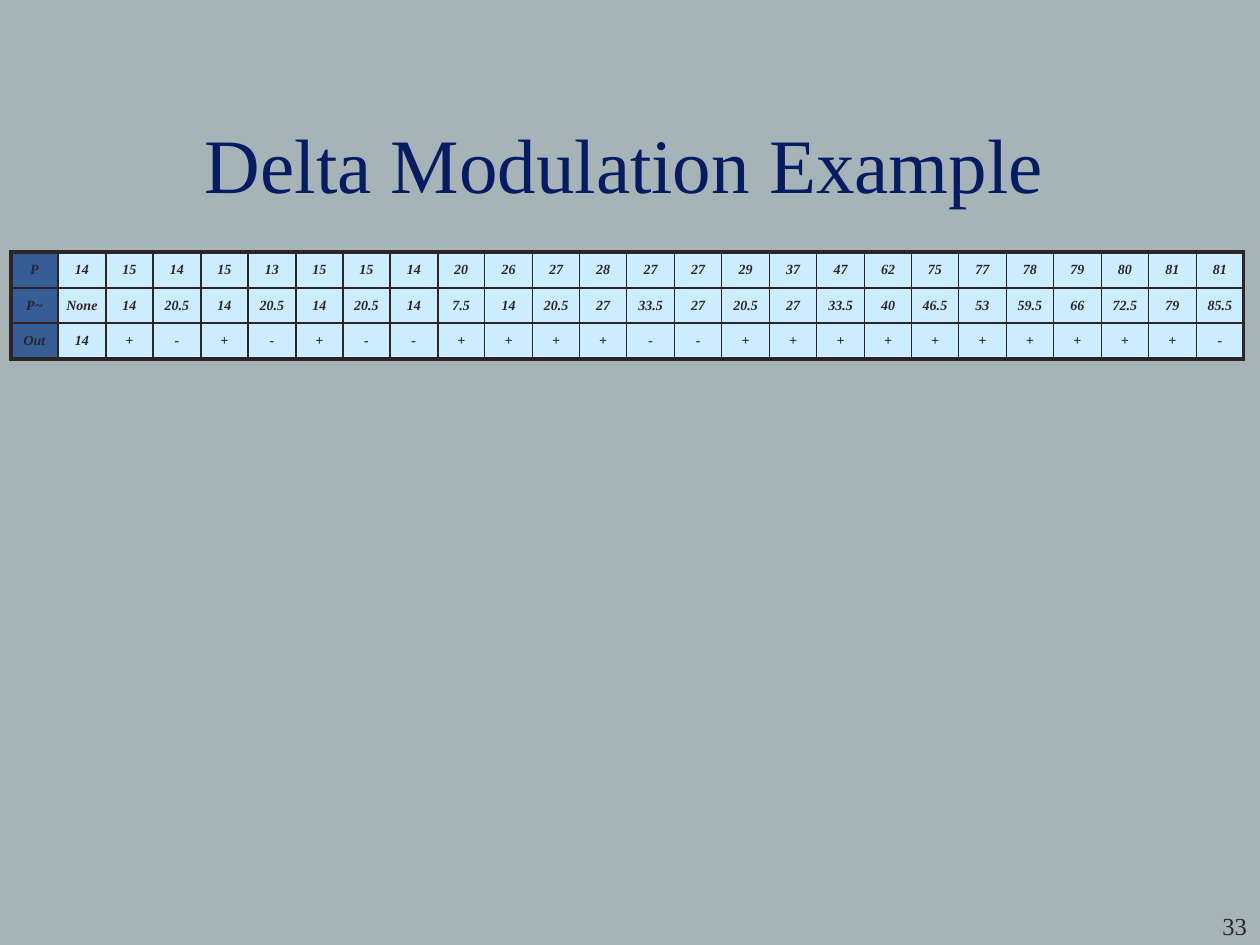
from dataclasses import dataclass

from lxml import etree
from pptx import Presentation
from pptx.dml.color import RGBColor
from pptx.enum.text import MSO_ANCHOR, PP_ALIGN
from pptx.oxml.ns import qn
from pptx.util import Emu, Pt

MID, TOP = MSO_ANCHOR.MIDDLE, MSO_ANCHOR.TOP
CENTER, RIGHT = PP_ALIGN.CENTER, PP_ALIGN.RIGHT
SCALE = 914400 // 126


@dataclass(frozen=True)
class Theme:
    font: str = "Times New Roman"
    back: str = "A7B4B7"
    ink: str = "2D2525"
    navy: str = "061C62"
    head: str = "365D96"
    pale: str = "CCECFF"
    title: int = 44
    page: int = 14
    cell: int = 8
    thin: float = 1
    thick: float = 2.25


@dataclass(frozen=True)
class Box:
    left: int
    top: int
    width: int
    height: int

    def emu(self) -> tuple:
        return px(self.left), px(self.top), px(self.width), px(self.height)


@dataclass(frozen=True)
class Row:
    label: str
    values: str

    def cells(self) -> list:
        return [self.label, *self.values.split()]


THEME = Theme()
ROWS = [
    Row("P", "14 15 14 15 13 15 15 14 20 26 27 28 27 27 29 37 47 62 75 77 78 79 80 81 81"),
    Row("P~", "None 14 20.5 14 20.5 14 20.5 14 7.5 14 20.5 27 33.5 27 20.5 27 33.5 40 "
              "46.5 53 59.5 66 72.5 79 85.5"),
    Row("Out", "14 + - + - + - - + + + + - - + + + + + + + + + + -"),
]


def px(n: int) -> Emu:
    return Emu(n * SCALE)


def rgb(code: str) -> RGBColor:
    return RGBColor.from_string(code)


def style(frame, size: int, color: str, align, bold: bool = False) -> None:
    for para in frame.paragraphs:
        para.alignment = align
        for run in para.runs:
            font = run.font
            font.name, font.size = THEME.font, Pt(size)
            font.bold = font.italic = bold
            font.color.rgb = rgb(color)


def fit(frame, anchor) -> None:
    frame.word_wrap = True
    frame.vertical_anchor = anchor
    frame.margin_left = frame.margin_right = px(13)
    frame.margin_top = frame.margin_bottom = px(6)


def split(total: int, count: int) -> list:
    edges = [round(total * i / count) for i in range(count + 1)]
    return [b - a for a, b in zip(edges, edges[1:])]


def border(cell, sides: dict) -> None:
    props = cell._tc.get_or_add_tcPr()
    for i, (side, width) in enumerate(sides.items()):
        line = etree.Element(qn(f"a:ln{side}"), w=str(Pt(width)))
        fill = etree.SubElement(line, qn("a:solidFill"))
        etree.SubElement(fill, qn("a:srgbClr"), val=THEME.ink)
        props.insert(i, line)


def draw_title(slide, text: str, box: Box) -> None:
    title = slide.shapes.title
    title.left, title.top, title.width, title.height = box.emu()
    title.text_frame.text = text
    fit(title.text_frame, MID)
    style(title.text_frame, THEME.title, THEME.navy, CENTER)


def draw_page(slide, text: str, box: Box) -> None:
    frame = slide.shapes.add_textbox(*box.emu()).text_frame
    frame.text = text
    fit(frame, TOP)
    style(frame, THEME.page, THEME.ink, RIGHT)


def draw_cell(cell, text: str, fill: str) -> None:
    cell.text_frame.text = text
    cell.vertical_anchor = MID
    cell.margin_left = cell.margin_right = px(6)
    cell.margin_top = cell.margin_bottom = px(6)
    cell.fill.solid()
    cell.fill.fore_color.rgb = rgb(fill)
    style(cell.text_frame, THEME.cell, THEME.ink, CENTER, True)


def draw_table(slide, rows: list, box: Box) -> None:
    grid = [row.cells() for row in rows]
    high, wide = len(grid), len(grid[0])
    table = slide.shapes.add_table(high, wide, *box.emu()).table
    for col, width in zip(table.columns, split(box.width, wide)):
        col.width = px(width)
    for row, height in zip(table.rows, split(box.height, high)):
        row.height = px(height)
    for r, line in enumerate(grid):
        for c, text in enumerate(line):
            cell = table.cell(r, c)
            draw_cell(cell, text, THEME.pale if c else THEME.head)
            outer = {"L": c == 0, "R": c == wide - 1, "T": r == 0, "B": r == high - 1}
            border(cell, {side: THEME.thick if edge else THEME.thin
                          for side, edge in outer.items()})


def main() -> None:
    deck = Presentation()
    deck.slide_width, deck.slide_height = px(1260), px(945)
    slide = deck.slides.add_slide(deck.slide_layouts[5])
    slide.background.fill.solid()
    slide.background.fill.fore_color.rgb = rgb(THEME.back)
    draw_page(slide, "33", Box(1050, 905, 210, 63))
    draw_title(slide, "Delta Modulation Example", Box(31, 84, 1187, 158))
    draw_table(slide, ROWS, Box(11, 252, 1233, 107))
    deck.save("out.pptx")


if __name__ == "__main__":
    main()
